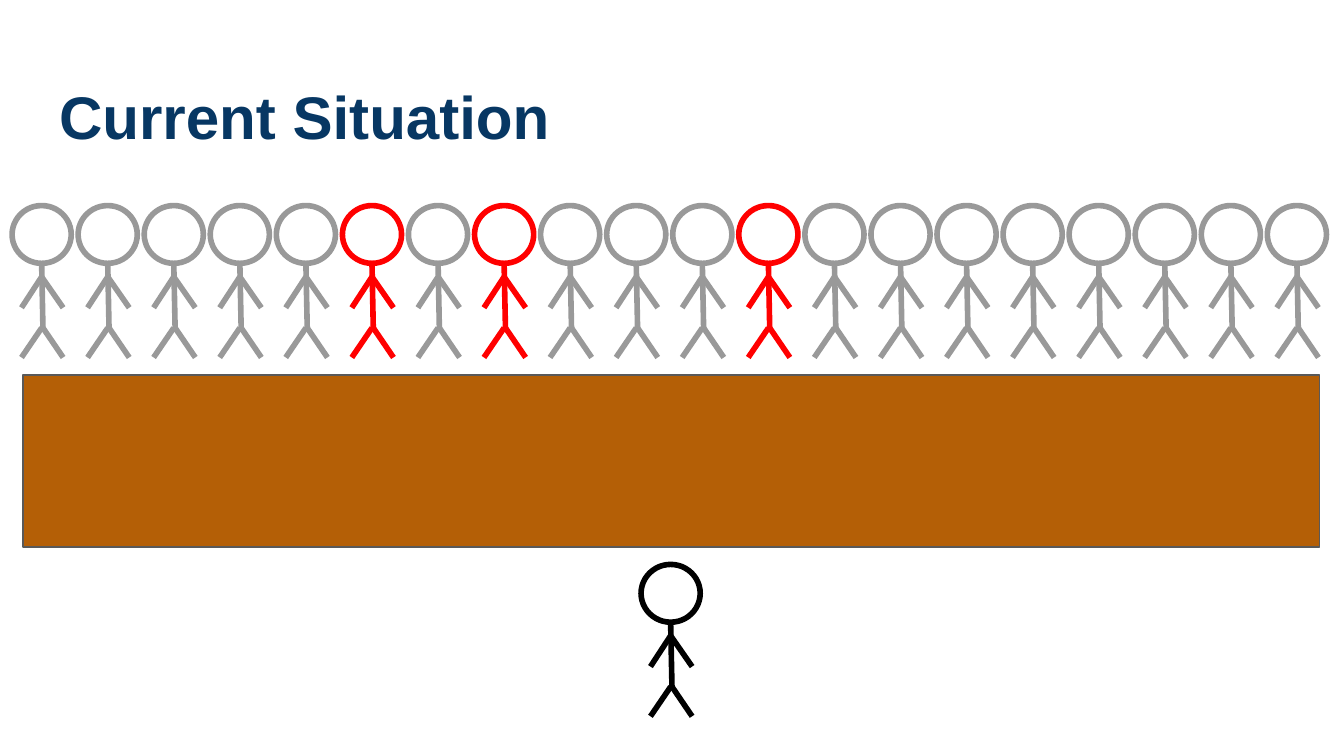
from pptx import Presentation
from pptx.dml.color import RGBColor
from pptx.enum.shapes import MSO_CONNECTOR, MSO_SHAPE
from pptx.enum.text import MSO_ANCHOR, MSO_AUTO_SIZE, PP_ALIGN
from pptx.oxml.ns import qn
from pptx.util import Inches, Pt
from lxml import etree

STRAIGHT = MSO_CONNECTOR.STRAIGHT
OVAL, RECTANGLE = MSO_SHAPE.OVAL, MSO_SHAPE.RECTANGLE
TOP, LEFT, NO_AUTOFIT = MSO_ANCHOR.TOP, PP_ALIGN.LEFT, MSO_AUTO_SIZE.NONE

NAVY = RGBColor(0x07, 0x37, 0x63)
GRAY = RGBColor(0x99, 0x99, 0x99)
RED = RGBColor(0xFF, 0x00, 0x00)
BLACK = RGBColor(0x00, 0x00, 0x00)
BROWN = RGBColor(0xB4, 0x5F, 0x06)
DARK_GRAY = RGBColor(0x59, 0x59, 0x59)

# Content
TITLE = "Current Situation"
CROWD_SIZE = 20
RED_PEOPLE = {5, 7, 11}
CROWD_LEFT, CROWD_RIGHT, CROWD_TOP = 0.09, 9.43, 1.53
FRONT_PERSON = (4.77, 4.2)
WALL = (0.17, 2.79, 9.65, 1.28)

# Stick figure, measured from the top left of its head
HEAD_SIZE = (0.44, 0.43)
LIMBS = [
    ((0.22, 0.43), (0.23, 0.92)),  # body
    ((0.07, 1.13), (0.22, 0.91)),  # left leg
    ((0.38, 1.13), (0.23, 0.91)),  # right leg
    ((0.07, 0.76), (0.22, 0.53)),  # left arm
    ((0.38, 0.76), (0.22, 0.53)),  # right arm
]

# Widescreen slide, 16 to 9
prs = Presentation()
prs.slide_width = Inches(10)
prs.slide_height = prs.slide_width * 9 // 16
slide = prs.slides.add_slide(prs.slide_layouts[5])


def add_person(left, top, color):
    parts = slide.shapes.add_group_shape().shapes
    head = parts.add_shape(OVAL, Inches(left), Inches(top),
                           *map(Inches, HEAD_SIZE))
    head.shadow.inherit = False
    head.fill.background()
    head.line.color.rgb = color
    head.line.width = Pt(3)
    for (x1, y1), (x2, y2) in LIMBS:
        limb = parts.add_connector(STRAIGHT, Inches(left + x1), Inches(top + y1),
                                   Inches(left + x2), Inches(top + y2))
        limb.line.color.rgb = color
        limb.line.width = Pt(3)
        etree.SubElement(limb.element.spPr, qn("a:effectLst"))


# Title
title = slide.shapes.title
title.left, title.top = Inches(0.34), Inches(0.49)
title.width, title.height = Inches(9.32), Inches(0.63)
frame = title.text_frame
frame.text = TITLE
frame.word_wrap = True
frame.auto_size = NO_AUTOFIT
frame.vertical_anchor = TOP
frame.margin_left = frame.margin_right = Inches(0.1)
frame.margin_top = frame.margin_bottom = Inches(0.1)
heading = frame.paragraphs[0]
heading.alignment = LEFT
heading.line_spacing = 1.0
font = heading.runs[0].font
font.name, font.size, font.bold = "Arial", Pt(32.2), True
font.color.rgb = NAVY

# Wall
wall = slide.shapes.add_shape(RECTANGLE, *map(Inches, WALL))
wall.shadow.inherit = False
wall.fill.solid()
wall.fill.fore_color.rgb = BROWN
wall.line.color.rgb = DARK_GRAY
wall.line.width = Pt(0.75)

# Crowd behind the wall, one person in front
pitch = (CROWD_RIGHT - CROWD_LEFT) / (CROWD_SIZE - 1)
for i in range(CROWD_SIZE):
    add_person(CROWD_LEFT + i * pitch, CROWD_TOP, RED if i in RED_PEOPLE else GRAY)
add_person(*FRONT_PERSON, BLACK)

prs.save("out.pptx")
